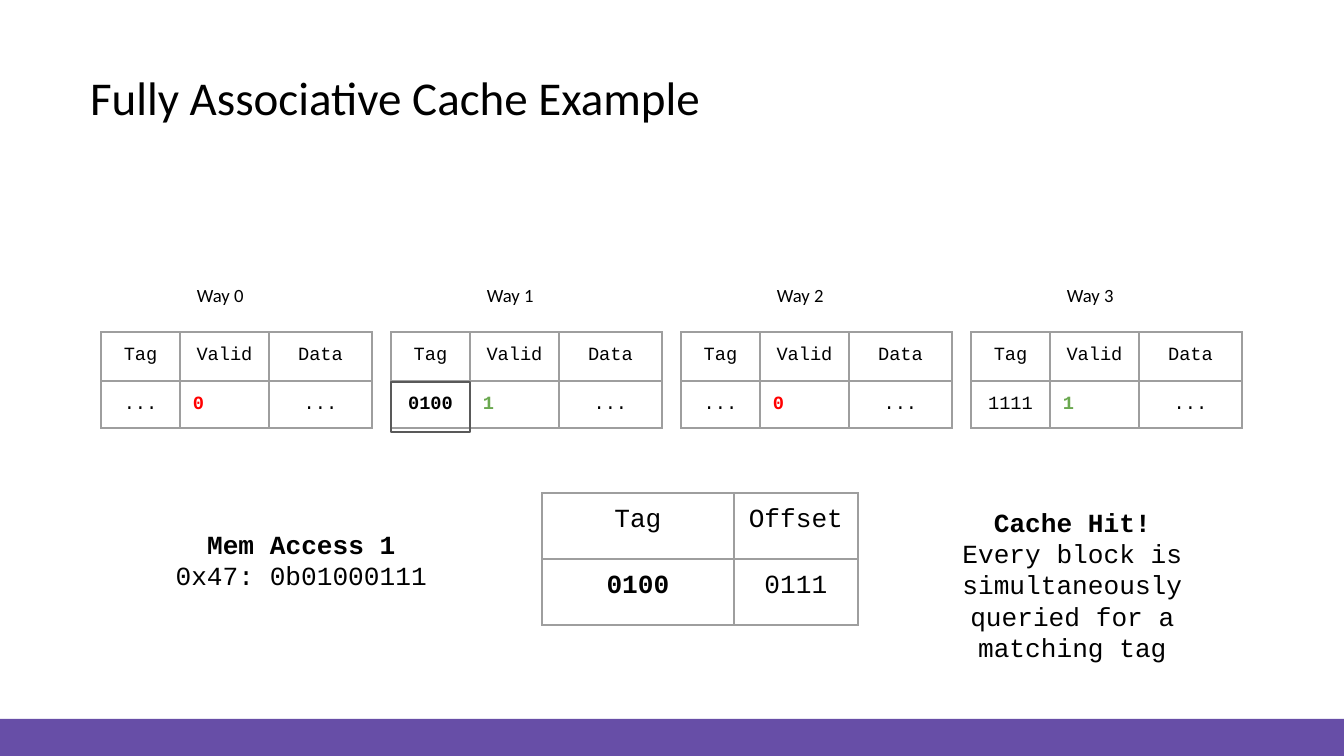
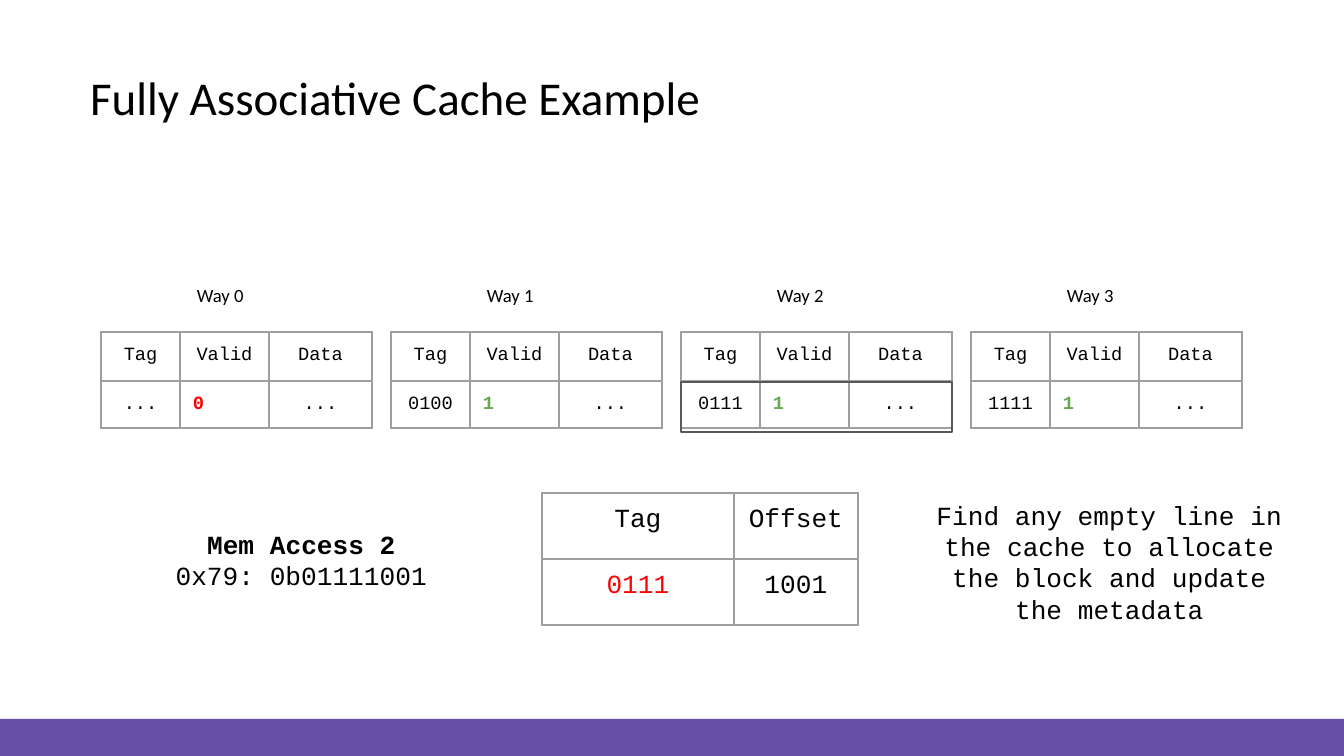
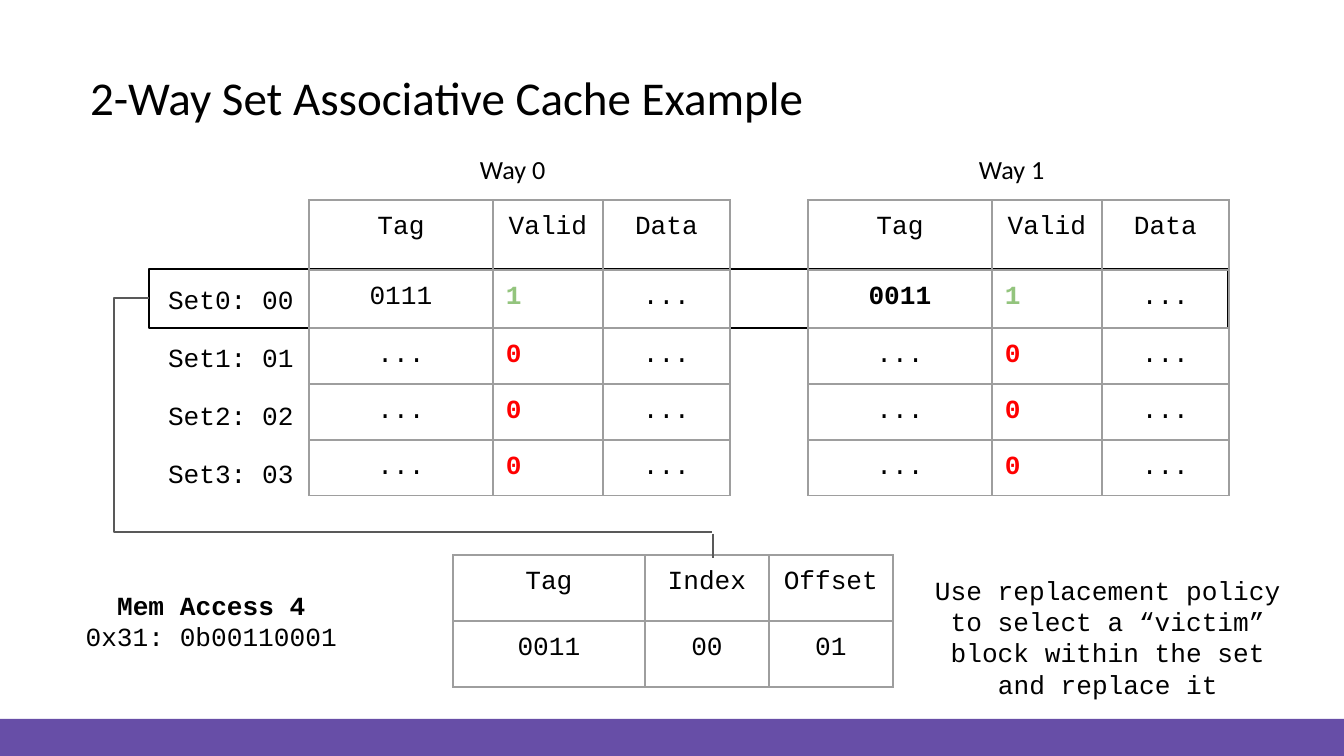
from dataclasses import dataclass
from typing import Any, Sequence

from lxml import etree
from pptx import Presentation
from pptx.dml.color import RGBColor
from pptx.enum.shapes import MSO_CONNECTOR, MSO_SHAPE
from pptx.enum.text import MSO_ANCHOR, MSO_AUTO_SIZE, PP_ALIGN
from pptx.oxml.ns import qn
from pptx.util import Emu, Pt

PX_PER_INCH = 134.4
PAGE_WIDTH, PAGE_HEIGHT = 1344, 756
INSET = 13
BLANK_LINE = 32

RECTANGLE = MSO_SHAPE.RECTANGLE
STRAIGHT, ELBOW = MSO_CONNECTOR.STRAIGHT, MSO_CONNECTOR.ELBOW
TOP = MSO_ANCHOR.TOP
NO_FIT = MSO_AUTO_SIZE.NONE
LEFT, CENTER = PP_ALIGN.LEFT, PP_ALIGN.CENTER

COLORS = {
    "text": "000000",
    "band": "674EA7",
    "grid": "9E9E9E",
    "outline": "595959",
    "miss": "FF0000",
    "hit": "6AA84F",
    "pale_hit": "93C47D",
}
SANS, MONO = "Calibri", "Courier New"
SMALL, MEDIUM, LARGE = 10, 14, 25.2


@dataclass(frozen=True)
class Span:
    text: str
    bold: bool = False
    color: str = "text"
    align: Any = CENTER


@dataclass(frozen=True)
class Box:
    left: int
    top: int
    width: int
    height: int


@dataclass(frozen=True)
class Grid:
    columns: tuple[int, ...]
    rows: tuple[int, ...]
    size: int


@dataclass(frozen=True)
class WayRow:
    """One cache line of a way; the data column always shows dots."""
    tag: Span
    valid: Span


WAY_GRID = Grid((79, 89, 103), (49, 42), SMALL)
SET_WAY_GRID = Grid((184, 110, 127), (70, 58, 56, 56, 56), MEDIUM)
ADDRESS_GRID = Grid((192, 124), (66, 66), MEDIUM)
INDEXED_ADDRESS_GRID = Grid((192, 124, 124), (66, 66), MEDIUM)

WAY_LEFT, WAY_TOP, WAY_PITCH = 101, 332, 290
SET_WAY_LEFT, SET_WAY_TOP, SET_WAY_PITCH = 309, 200, 499
SET_LABEL_TOP, SET_LABEL_PITCH = 270, 58
TAG_OUTLINE_TOP, TAG_OUTLINE_HEIGHT = 382, 50

DOTS = Span("...")
EMPTY = Span("0", True, "miss", LEFT)
FILLED = Span("1", True, "hit", LEFT)
PALE_FILLED = Span("1", True, "pale_hit", LEFT)
EMPTY_ROW = WayRow(DOTS, EMPTY)


def px(length: float) -> Emu:
    return Emu(round(length * 914400 / PX_PER_INCH))


def rgb(name: str) -> RGBColor:
    return RGBColor.from_string(COLORS[name])


def apply_format(target: Any, values: dict[str, Any]) -> None:
    for name, value in values.items():
        setattr(target, name, value)


def place(box: Box) -> tuple[Emu, Emu, Emu, Emu]:
    return px(box.left), px(box.top), px(box.width), px(box.height)


def write(frame: Any, spans: Sequence[Span], font: str, size: float) -> None:
    """Fill a text frame with one paragraph for each span."""
    for number, span in enumerate(spans):
        para = frame.add_paragraph() if number else frame.paragraphs[0]
        para.alignment = span.align
        run = para.add_run()
        run.text = span.text
        apply_format(run.font, {"name": font, "size": Pt(size), "bold": span.bold})
        run.font.color.rgb = rgb(span.color)


def frame_format(top_gap: int = 0) -> dict[str, Any]:
    return {
        "word_wrap": True,
        "auto_size": NO_FIT,
        "vertical_anchor": TOP,
        "margin_left": px(INSET),
        "margin_right": px(INSET),
        "margin_top": px(INSET + top_gap),
        "margin_bottom": px(INSET),
    }


def add_text(page: Any, box: Box, spans: Sequence[Span], font: str = MONO,
             size: float = MEDIUM, top_gap: int = 0) -> None:
    frame = page.shapes.add_textbox(*place(box)).text_frame
    apply_format(frame, frame_format(top_gap))
    write(frame, spans, font, size)


def add_page(deck: Any, title: str) -> Any:
    """Add a page with the purple foot band and the title."""
    page = deck.slides.add_slide(deck.slide_layouts[5])
    band = page.shapes.add_shape(RECTANGLE, *place(Box(0, 719, PAGE_WIDTH, 37)))
    band.shadow.inherit = False
    band.fill.solid()
    band.fill.fore_color.rgb = rgb("band")
    band.line.fill.background()

    heading = page.shapes.title
    left, top, width, height = place(Box(77, 55, 1191, 85))
    apply_format(heading, {"left": left, "top": top, "width": width, "height": height})
    apply_format(heading.text_frame, frame_format())
    write(heading.text_frame, [Span(title, align=LEFT)], SANS, LARGE)
    return page


def add_outline(page: Any, box: Box, color: str) -> None:
    outline = page.shapes.add_shape(RECTANGLE, *place(box))
    outline.shadow.inherit = False
    outline.fill.background()
    outline.line.color.rgb = rgb(color)
    outline.line.width = Pt(1.5)


def set_borders(cell: Any) -> None:
    properties = cell._tc.get_or_add_tcPr()
    for number, side in enumerate(("lnL", "lnR", "lnT", "lnB")):
        border = etree.Element(qn(f"a:{side}"), w=str(Pt(0.75)))
        fill = etree.SubElement(border, qn("a:solidFill"))
        etree.SubElement(fill, qn("a:srgbClr"), val=COLORS["grid"])
        properties.insert(number, border)


def add_grid(page: Any, left: int, top: int, grid: Grid,
             content: Sequence[Sequence[Span]]) -> None:
    box = Box(left, top, sum(grid.columns), sum(grid.rows))
    table = page.shapes.add_table(
        len(grid.rows), len(grid.columns), *place(box)).table
    apply_format(table, {"first_row": False, "horz_banding": False})
    for column, width in zip(table.columns, grid.columns):
        column.width = px(width)
    for row, height, spans in zip(table.rows, grid.rows, content):
        row.height = px(height)
        for cell, span in zip(row.cells, spans):
            cell.fill.background()
            set_borders(cell)
            margins = frame_format()
            apply_format(cell, {name: margins[name] for name in margins
                                if name.startswith("margin")})
            write(cell.text_frame, [span], MONO, grid.size)


def headers(*names: str) -> list[Span]:
    return [Span(name) for name in names]


def add_way(page: Any, left: int, top: int, grid: Grid, name: str,
            rows: Sequence[WayRow], label: Box) -> None:
    content = [headers("Tag", "Valid", "Data")]
    content += [[row.tag, row.valid, DOTS] for row in rows]
    add_grid(page, left, top, grid, content)
    add_text(page, label, [Span(name, align=LEFT)], SANS, grid.size)


def add_access(page: Any, left: int, top: int, number: int, address: str) -> None:
    spans = [Span(f"Mem Access {number}", True), Span(address)]
    add_text(page, Box(left, top, 309, 90), spans)


def add_line(page: Any, kind: Any, start: tuple[int, int], end: tuple[int, int],
             bend: int | None = None) -> None:
    """Draw a thin line; bend places an elbow in 1/100000 of the width."""
    line = page.shapes.add_connector(kind, *map(px, start), *map(px, end))
    line.line.color.rgb = rgb("outline")
    line.line.width = Pt(0.75)
    properties = line.element.spPr
    etree.SubElement(properties, qn("a:effectLst"))
    if bend is not None:
        geometry = properties.find(qn("a:prstGeom"))
        guides = geometry.find(qn("a:avLst"))
        if guides is None:
            guides = etree.SubElement(geometry, qn("a:avLst"))
        etree.SubElement(guides, qn("a:gd"), name="adj1", fmla=f"val {bend}")


def add_fully_associative_page(deck: Any, ways: Sequence[WayRow], access: int,
                               address: str, tag: Span, offset: str) -> Any:
    page = add_page(deck, "Fully Associative Cache Example")
    for number, row in enumerate(ways):
        left = WAY_LEFT + number * WAY_PITCH
        add_way(page, left, WAY_TOP, WAY_GRID, f"Way {number}", [row],
                Box(left + 83, 271, 105, 50))
    add_grid(page, 542, 493, ADDRESS_GRID,
             [headers("Tag", "Offset"), [tag, Span(offset)]])
    add_access(page, 147, 515, access, address)
    return page


def add_hit_page(deck: Any) -> None:
    matching_tag = Span("0100", True)
    ways = [EMPTY_ROW, WayRow(matching_tag, FILLED), EMPTY_ROW,
            WayRow(Span("1111"), FILLED)]
    page = add_fully_associative_page(
        deck, ways, 1, "0x47: 0b01000111", matching_tag, "0111")
    add_text(page, Box(918, 493, 309, 185), [
        Span("Cache Hit!", True),
        Span("Every block is simultaneously queried for a matching tag")])
    add_outline(page, Box(WAY_LEFT + WAY_PITCH, TAG_OUTLINE_TOP,
                          WAY_GRID.columns[0], TAG_OUTLINE_HEIGHT), "outline")


def add_allocation_page(deck: Any) -> None:
    ways = [EMPTY_ROW] + [WayRow(Span(tag), FILLED)
                          for tag in ("0100", "0111", "1111")]
    page = add_fully_associative_page(
        deck, ways, 2, "0x79: 0b01111001", Span("0111", color="miss"), "1001")
    add_text(page, Box(918, 454, 383, 218), [
        Span("Find any empty line in the cache to allocate the block "
             "and update the metadata")], top_gap=BLANK_LINE)
    add_outline(page, Box(WAY_LEFT + 2 * WAY_PITCH, TAG_OUTLINE_TOP,
                          sum(WAY_GRID.columns), TAG_OUTLINE_HEIGHT), "outline")


def add_set_associative_page(deck: Any) -> None:
    page = add_page(deck, "2-Way Set Associative Cache Example")
    add_outline(page, Box(149, 269, 1079, 59), "text")
    for number, tag in enumerate((Span("0111"), Span("0011", True))):
        left = SET_WAY_LEFT + number * SET_WAY_PITCH
        rows = [WayRow(tag, PALE_FILLED)] + [EMPTY_ROW] * 3
        add_way(page, left, SET_WAY_TOP, SET_WAY_GRID, f"Way {number}", rows,
                Box(left + 158, 140, 105, 59))
    for number in range(4):
        label = f"Set{number}: {number:02d}"
        top = SET_LABEL_TOP + number * SET_LABEL_PITCH
        add_text(page, Box(155, top, 155, 59), [Span(label, align=LEFT)])
    add_grid(page, 453, 555, INDEXED_ADDRESS_GRID,
             [headers("Tag", "Index", "Offset"), headers("0011", "00", "01")])
    add_access(page, 57, 576, 4, "0x31: 0b00110001")
    add_text(page, Box(909, 529, 398, 185), [
        Span("Use replacement policy to select a “victim” block "
             "within the set and replace it")], top_gap=BLANK_LINE)
    add_line(page, ELBOW, (149, 298), (712, 532), bend=-6200)
    add_line(page, STRAIGHT, (713, 534), (713, 558))


def main() -> None:
    deck = Presentation()
    apply_format(deck, {"slide_width": px(PAGE_WIDTH),
                        "slide_height": px(PAGE_HEIGHT)})
    add_hit_page(deck)
    add_allocation_page(deck)
    add_set_associative_page(deck)
    deck.save("out.pptx")


if __name__ == "__main__":
    main()
